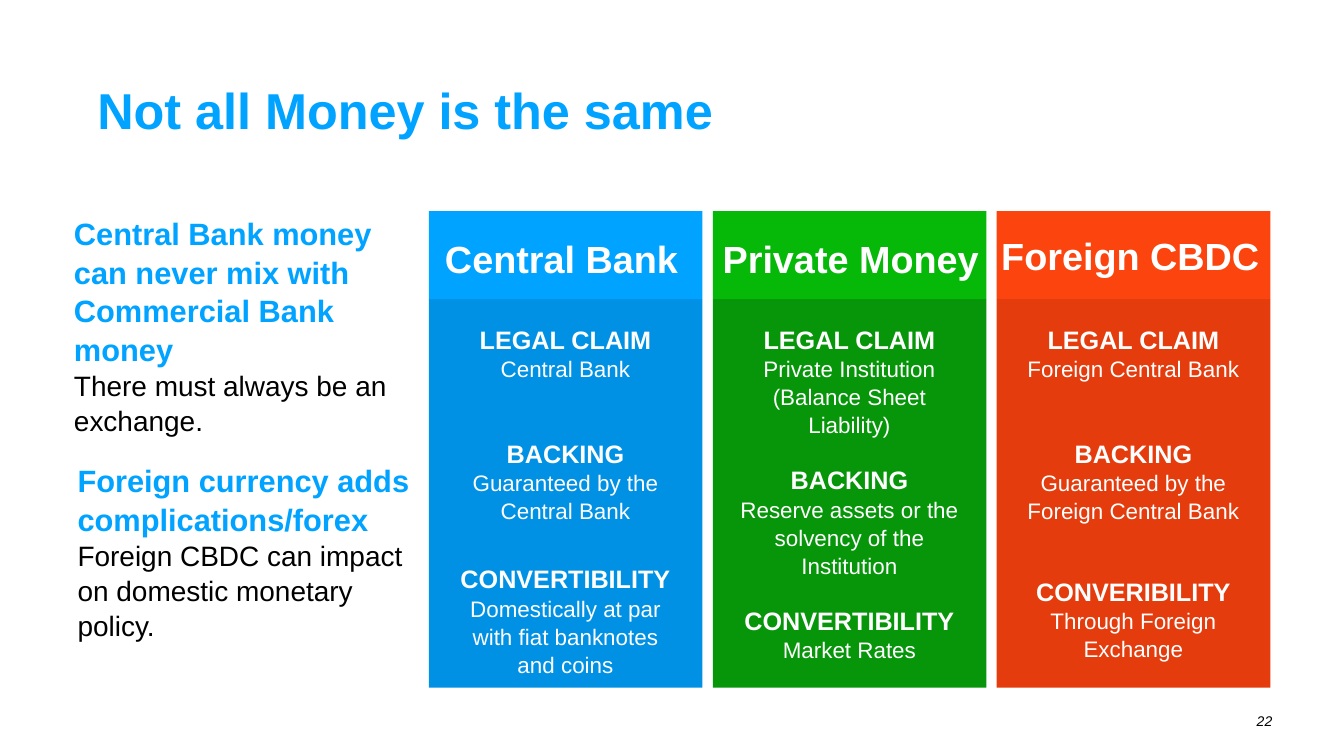
"""Build the slide that compares central bank, private and foreign money."""
from dataclasses import dataclass

from pptx import Presentation
from pptx.dml.color import RGBColor as Color
from pptx.enum.shapes import MSO_SHAPE as Preset
from pptx.enum.text import MSO_ANCHOR as Anchor, MSO_AUTO_SIZE as AutoSize, PP_ALIGN as Align
from pptx.util import Pt


@dataclass(frozen=True)
class Theme:
    font: str = "Arial"
    accent: str = "00A3FF"
    ink: str = "000000"
    white: str = "FFFFFF"
    title: int = 72
    heading: int = 54
    statement: int = 44
    detail: int = 40
    label: int = 36
    value: int = 32
    page: int = 20
    leading: float = 1.04


class SlideBuilder:
    def __init__(self, slide, theme):
        self.slide = slide
        self.theme = theme

    def run(self, paragraph, text, size, color, **formats):
        run = paragraph.add_run()
        run.text = text
        values = {"name": self.theme.font, "size": Pt(size), "bold": False, **formats}
        for name, value in values.items():
            setattr(run.font, name, value)
        run.font.color.rgb = Color.from_string(color)

    def title(self, text, left, top, width, height):
        shape = self.slide.shapes.title
        box = {"left": left, "top": top, "width": width, "height": height}
        for name, value in box.items():
            setattr(shape, name, Pt(value))
        frame = shape.text_frame
        frame.auto_size = AutoSize.NONE
        frame.vertical_anchor = Anchor.MIDDLE
        paragraph = frame.paragraphs[0]
        paragraph.alignment = Align.LEFT
        paragraph.line_spacing = 0.9
        self.run(paragraph, text, self.theme.title, self.theme.accent, bold=True)

    def panel(self, left, top, width, height, color):
        shape = self.slide.shapes.add_shape(
            Preset.RECTANGLE, Pt(left), Pt(top), Pt(width), Pt(height))
        shape.shadow.inherit = False
        shape.fill.solid()
        shape.fill.fore_color.rgb = Color.from_string(color)
        shape.line.fill.background()

    def frame(self, left, top, width, height, wrap=True):
        shape = self.slide.shapes.add_textbox(Pt(left), Pt(top), Pt(width), Pt(height))
        frame = shape.text_frame
        frame.word_wrap = wrap
        frame.auto_size = AutoSize.SHAPE_TO_FIT_TEXT
        return frame

    def paragraph(self, frame, first, **formats):
        paragraph = frame.paragraphs[0] if first else frame.add_paragraph()
        for name, value in {"line_spacing": self.theme.leading, **formats}.items():
            setattr(paragraph, name, value)
        return paragraph

    def line(self, text, left, top, width, height, size, color, wrap=True, **formats):
        frame = self.frame(left, top, width, height, wrap)
        self.run(self.paragraph(frame, True), text, size, color, **formats)

    def note(self, statement, detail, left, top, width, height):
        theme = self.theme
        frame = self.frame(left, top, width, height)
        self.run(self.paragraph(frame, True), statement, theme.statement, theme.accent, bold=True)
        self.run(self.paragraph(frame, False), detail, theme.detail, theme.ink)

    def facts(self, entries, left, top, width, height):
        theme = self.theme
        frame = self.frame(left, top, width, height)
        for index, (label, value, gap) in enumerate(entries):
            paragraph = self.paragraph(
                frame, index == 0, alignment=Align.CENTER, space_after=Pt(gap))
            self.run(paragraph, label, theme.label, theme.white, bold=True)
            paragraph.add_line_break()
            self.run(paragraph, value, theme.value, theme.white)


COLUMN_LEFT, COLUMN_STEP, COLUMN_WIDTH = 612.7, 405.7, 391
HEADER_TOP, HEADER_HEIGHT, BODY_HEIGHT = 301.7, 125.5, 555
FACTS_INSET, FACTS_TOP, FACTS_WIDTH = 27.5, 458, 335.5

# Each heading box is (offset from the column, top, width).
COLUMNS = [
    {"heading": "Central Bank", "box": (16, 331, 350.6), "header": "00A3FF", "body": "0091E5",
     "height": 504, "facts": [
         ("LEGAL CLAIM", "Central Bank", 78),
         ("BACKING", "Guaranteed by the Central Bank", 54),
         ("CONVERTIBILITY", "Domestically at par with fiat banknotes and coins", 78)]},
    {"heading": "Private Money", "box": (7, 331, 383.8), "header": "06B909", "body": "07960A",
     "height": 482.4, "facts": [
         ("LEGAL CLAIM", "Private Institution (Balance Sheet Liability)", 36),
         ("BACKING", "Reserve assets or the solvency of the Institution", 36),
         ("CONVERTIBILITY", "Market Rates", 78)]},
    {"heading": "Foreign CBDC", "box": (-0.7, 327, 387.4), "header": "FC440F", "body": "E53C0D",
     "height": 483, "facts": [
         ("LEGAL CLAIM", "Foreign Central Bank", 78),
         ("BACKING", "Guaranteed by the Foreign Central Bank", 72),
         ("CONVERIBILITY", "Through Foreign Exchange", 30)]},
]


def main():
    presentation = Presentation()
    presentation.slide_width, presentation.slide_height = Pt(1920.24), Pt(1080)
    theme = Theme()
    builder = SlideBuilder(
        presentation.slides.add_slide(presentation.slide_layouts[5]), theme)

    builder.title("Not all Money is the same", 131.8, 57.6, 1656, 208.8)
    builder.note("Central Bank money can never mix with Commercial Bank money",
                 "There must always be an exchange.", 98.6, 301.7, 508.3, 317.5)
    builder.note("Foreign currency adds complications/forex",
                 "Foreign CBDC can impact on domestic monetary policy.",
                 103.7, 654.5, 496, 259.2)

    for index, column in enumerate(COLUMNS):
        left = COLUMN_LEFT + index * COLUMN_STEP
        builder.panel(left, HEADER_TOP + HEADER_HEIGHT, COLUMN_WIDTH, BODY_HEIGHT, column["body"])
        builder.panel(left, HEADER_TOP, COLUMN_WIDTH, HEADER_HEIGHT, column["header"])
        builder.facts(column["facts"], left + FACTS_INSET, FACTS_TOP, FACTS_WIDTH,
                      column["height"])
        offset, top, width = column["box"]
        builder.line(column["heading"], left + offset, top, width, 72.7,
                     theme.heading, theme.white, wrap=False, bold=True)

    builder.line("22", 1788.5, 1013, 61.2, 31.7, theme.page, theme.ink, italic=True)
    presentation.save("out.pptx")


if __name__ == "__main__":
    main()
